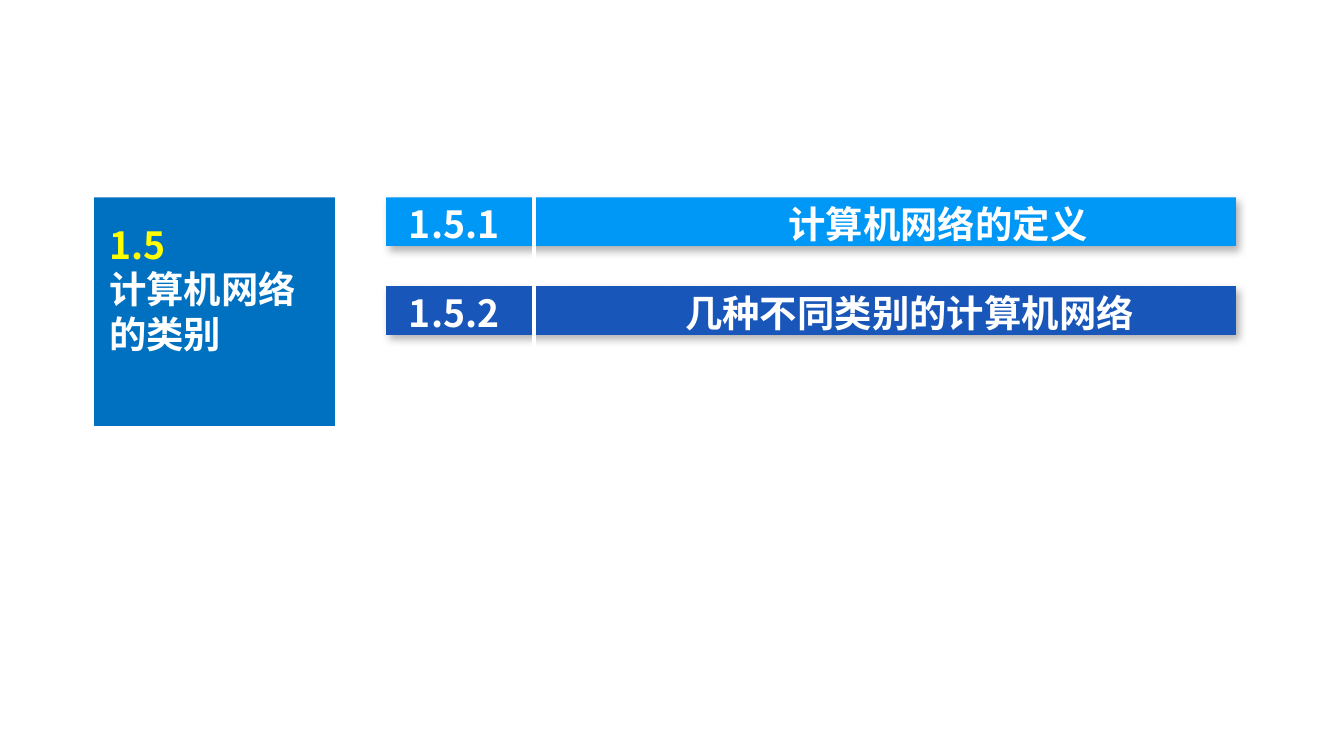
from collections import namedtuple

from lxml.etree import SubElement
from pptx import Presentation
from pptx.dml.color import RGBColor
from pptx.enum.shapes import MSO_CONNECTOR, MSO_SHAPE
from pptx.enum.text import MSO_ANCHOR, MSO_AUTO_SIZE, PP_ALIGN
from pptx.oxml.ns import qn
from pptx.util import Cm, Pt

WHITE = RGBColor(0xFF, 0xFF, 0xFF)
YELLOW = RGBColor(0xFF, 0xFF, 0x00)
TITLE_BLUE = RGBColor(0x00, 0x70, 0xC0)
BRIGHT_BLUE = RGBColor(0x00, 0x98, 0xF6)
DEEP_BLUE = RGBColor(0x19, 0x56, 0xB9)
HEADING_FONT = "Noto Sans CJK SC"
NAME_FONT = "Calibri"

Box = namedtuple("Box", "left top width height")
Topic = namedtuple("Topic", "number name color name_offset")

TOPICS = [
    Topic("1.5.1", "计算机网络的定义", BRIGHT_BLUE, Cm(7.17)),
    Topic("1.5.2", "几种不同类别的计算机网络", DEEP_BLUE, Cm(5.22)),
]


def format_span(span, color, font_name=HEADING_FONT):
    """Give a run the bold 20-point style in Latin and East Asian fonts."""
    span.font.size = Pt(20)
    span.font.bold = True
    span.font.color.rgb = color
    span.font.name = font_name
    SubElement(span.font._element, qn("a:ea"), typeface=HEADING_FONT)


def set_margins(frame, left, top, right):
    """Set the text insets of a frame, with none at the bottom."""
    frame.margin_left, frame.margin_top = left, top
    frame.margin_right, frame.margin_bottom = right, 0


def add_shadow(shape):
    """Cast a soft shadow down and to the right."""
    shape.shadow.inherit = False
    effects = shape._element.spPr.find(qn("a:effectLst"))
    shadow = SubElement(
        effects, qn("a:outerShdw"), blurRad=str(Pt(4.5)), dist=str(Pt(2.6)),
        dir=str(53 * 60000), algn="tl", rotWithShape="0")
    color = SubElement(shadow, qn("a:srgbClr"), val="000000")
    SubElement(color, qn("a:alpha"), val="30000")


def place_title(page, box):
    """Turn the title placeholder into the filled section panel."""
    title = page.shapes.title
    title.left, title.top, title.width, title.height = box
    title.fill.solid()
    title.fill.fore_color.rgb = TITLE_BLUE
    frame = title.text_frame
    frame.text = "1.5\n计算机网络的类别"
    frame.word_wrap = True
    frame.auto_size = MSO_AUTO_SIZE.NONE
    frame.vertical_anchor = MSO_ANCHOR.TOP
    set_margins(frame, Cm(0.28), Cm(0.46), Cm(0.25))
    for para, color in zip(frame.paragraphs, (YELLOW, WHITE)):
        para.alignment = PP_ALIGN.LEFT
        para.line_spacing = Pt(24)
        para.space_before = Pt(0)
        format_span(para.runs[0], color)


def add_topic_bar(page, box, topic):
    """Draw one bar with its number and its name at a tab stop."""
    bar = page.shapes.add_shape(MSO_SHAPE.RECTANGLE, *box)
    bar.fill.solid()
    bar.fill.fore_color.rgb = topic.color
    bar.line.fill.background()
    add_shadow(bar)
    frame = bar.text_frame
    frame.word_wrap = True
    frame.vertical_anchor = MSO_ANCHOR.MIDDLE
    set_margins(frame, Cm(0.43), 0, 0)
    para = frame.paragraphs[0]
    para.alignment = PP_ALIGN.LEFT
    para.line_spacing = Pt(26)
    tabs = SubElement(para._p.get_or_add_pPr(), qn("a:tabLst"))
    SubElement(tabs, qn("a:tab"), pos=str(topic.name_offset), algn="l")
    for text, font_name in ((topic.number + "\t", HEADING_FONT), (topic.name, NAME_FONT)):
        span = para.add_run()
        span.text = text
        format_span(span, WHITE, font_name)


def add_topic_list(page, box, topics):
    """Stack the topic bars in the box and cut them with a white divider."""
    bar_height = Cm(0.92)
    pitch = (box.height - bar_height) // (len(topics) - 1)
    for index, topic in enumerate(topics):
        bar_box = Box(box.left, box.top + index * pitch, box.width, bar_height)
        add_topic_bar(page, bar_box, topic)
    divider_x = box.left + Cm(2.8)
    divider = page.shapes.add_connector(
        MSO_CONNECTOR.STRAIGHT, divider_x, box.top - Cm(0.2),
        divider_x, box.top + box.height + Cm(0.48))
    divider.line.color.rgb = WHITE
    divider.line.width = Pt(2.25)
    SubElement(divider._element.spPr, qn("a:effectLst"))


def main():
    """Build the section slide and save the deck."""
    deck = Presentation()
    deck.slide_width, deck.slide_height = Cm(25.4), Cm(14.29)
    page = deck.slides.add_slide(deck.slide_layouts[5])
    place_title(page, Box(Cm(1.78), Cm(3.73), Cm(4.55), Cm(4.32)))
    add_topic_list(page, Box(Cm(7.3), Cm(3.73), Cm(16.06), Cm(2.6)), TOPICS)
    deck.save("out.pptx")


if __name__ == "__main__":
    main()
